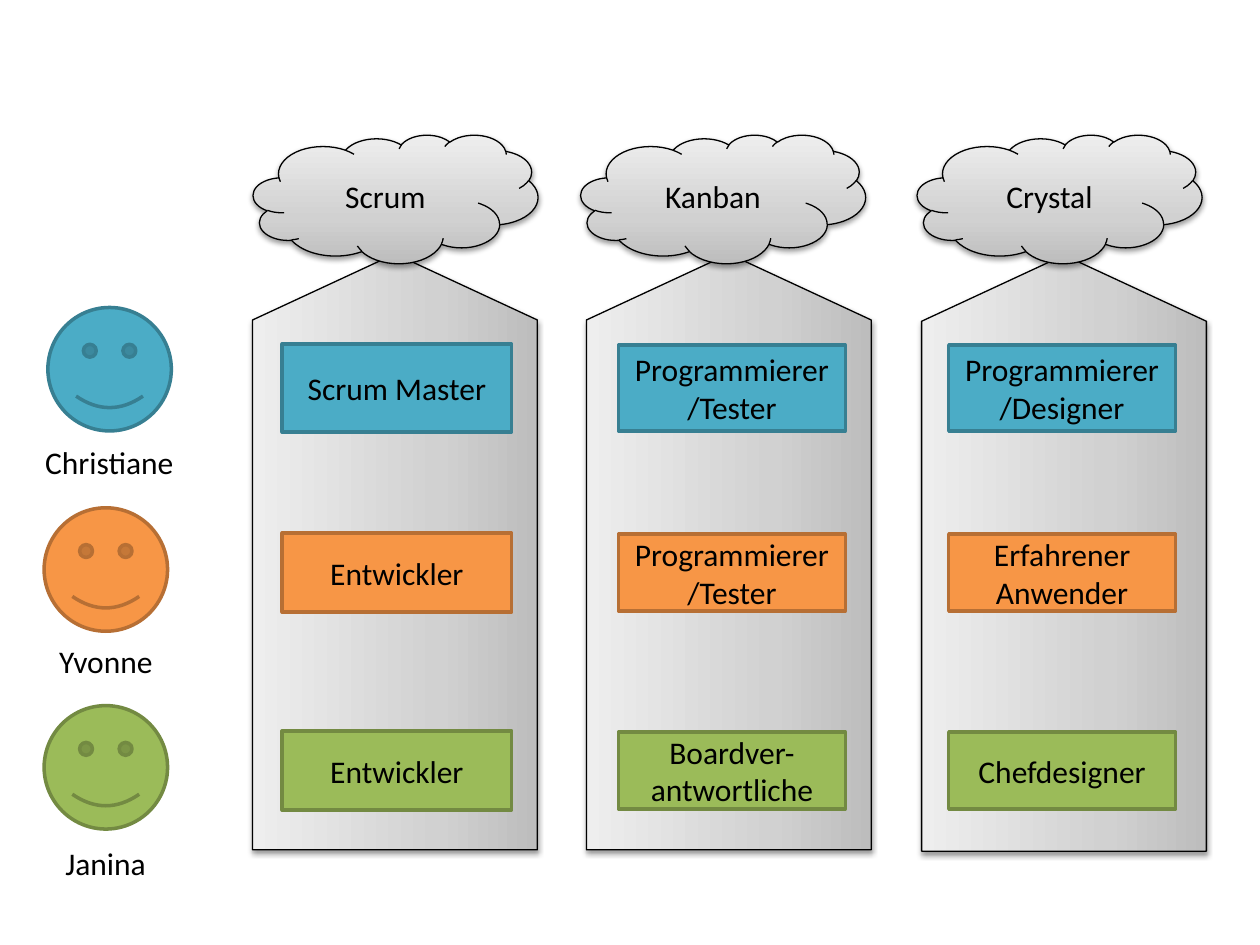
import dataclasses

import lxml.etree
import pptx
import pptx.dml.color
import pptx.enum.shapes
import pptx.enum.text
import pptx.oxml.ns
import pptx.util

Inches = pptx.util.Inches
SHAPES = pptx.enum.shapes.MSO_SHAPE
qn = pptx.oxml.ns.qn


@dataclasses.dataclass(frozen=True)
class Theme:
    font: str = "Calibri"
    text_size: float = 18
    text: str = "000000"
    outline: str = "000000"
    thin: float = 0.75
    thick: float = 2
    gradient: tuple = ((0, "BDBDBD"), (35, "D1D1D1"), (100, "EEEEEE"))
    blue: tuple = ("4BACC6", "377F92")
    orange: tuple = ("F79646", "B76F34")
    green: tuple = ("9BBB59", "738A42")


THEME = Theme()

# Person, (fill, line), face left and top, label left, top and width, role top and height
PEOPLE = [
    ("Christiane", THEME.blue, (0.38, 2.44), (0.26, 3.47, 1.23), (2.74, 0.68)),
    ("Yvonne", THEME.orange, (0.35, 4.03), (0.37, 5.05, 0.95), (4.24, 0.61)),
    ("Janina", THEME.green, (0.35, 5.6), (0.42, 6.65, 0.85), (5.81, 0.61)),
]

# Method, cloud left, pillar left and top, role left, extra role margin, roles
METHODS = [
    ("Scrum", 2.01, (0.77, 3.25), 2.25, 0.01,
     ["Scrum Master", "Entwickler", "Entwickler"]),
    ("Kanban", 4.61, (3.42, 3.25), 4.91, 0,
     ["Programmierer/Tester", "Programmierer/Tester", "Boardver-antwortliche"]),
    ("Crystal", 7.28, (6.08, 3.26), 7.53, 0,
     ["Programmierer/Designer", "Erfahrener Anwender", "Chefdesigner"]),
]


def rgb(value):
    return pptx.dml.color.RGBColor.from_string(value)


def write_text(frame, text, align=None):
    para = frame.paragraphs[0]
    para.alignment = align
    span = para.add_run()
    span.text = text
    span.font.name = THEME.font
    span.font.size = pptx.util.Pt(THEME.text_size)
    span.font.color.rgb = rgb(THEME.text)


def add_outlined(page, kind, place, line, width, text=None):
    shape = page.shapes.add_shape(kind, *map(Inches, place))
    shape.shadow.inherit = False
    shape.line.color.rgb = rgb(line)
    shape.line.width = pptx.util.Pt(width)
    if text:
        frame = shape.text_frame
        frame.word_wrap = True
        frame.vertical_anchor = pptx.enum.text.MSO_ANCHOR.MIDDLE
        write_text(frame, text, pptx.enum.text.PP_ALIGN.CENTER)
    return shape


def add_color(parent, value):
    return lxml.etree.SubElement(parent, qn("a:srgbClr"), val=value)


def add_flat(page, kind, place, colors, text=None):
    fill, line = colors
    shape = add_outlined(page, kind, place, line, THEME.thick, text)
    shape.fill.solid()
    shape.fill.fore_color.rgb = rgb(fill)


def add_metallic(page, kind, place, text=None):
    shape = add_outlined(page, kind, place, THEME.outline, THEME.thin, text)
    # Three-stop gradient, dark at the bottom
    shape.fill.gradient()
    shape.fill.gradient_angle = 90
    properties = shape.element.spPr
    stops = properties.find(".//" + qn("a:gsLst"))
    for stop in list(stops):
        stops.remove(stop)
    for position, color in THEME.gradient:
        add_color(lxml.etree.SubElement(stops, qn("a:gs"), pos=str(position * 1000)), color)
    # Soft shadow below
    shadow = lxml.etree.SubElement(
        properties.find(qn("a:effectLst")), qn("a:outerShdw"),
        blurRad="40000", dist="20000", dir="5400000", rotWithShape="0")
    lxml.etree.SubElement(add_color(shadow, THEME.outline), qn("a:alpha"), val="38000")
    return shape


def add_pillar(page, left, top):
    pillar = add_metallic(page, SHAPES.PENTAGON, (left, top, 4.73, 2.26))
    pillar.adjustments[0] = 0.232
    pillar.rotation = 270


def add_label(page, left, top, width, text):
    box = page.shapes.add_textbox(*map(Inches, (left, top, width, 0.4)))
    box.text_frame.word_wrap = False
    box.text_frame.auto_size = pptx.enum.text.MSO_AUTO_SIZE.SHAPE_TO_FIT_TEXT
    write_text(box.text_frame, text)


def add_person(page, name, colors, face, label):
    add_flat(page, SHAPES.SMILEY_FACE, (*face, 0.98, 0.98), colors)
    add_label(page, *label, name)


def add_method(page, name, cloud_left, pillar, role_left, margin, roles):
    add_pillar(page, *pillar)
    add_metallic(page, SHAPES.CLOUD, (cloud_left, 1.07, 2.26, 1.02), name)
    for role, (_, colors, _, _, (top, height)) in zip(roles, PEOPLE):
        place = (role_left - margin, top - margin, 1.8 + 2 * margin, height + 2 * margin)
        add_flat(page, SHAPES.RECTANGLE, place, colors, role)


def main():
    deck = pptx.Presentation()
    deck.slide_width, deck.slide_height = Inches(10), Inches(7.5)
    page = deck.slides.add_slide(deck.slide_layouts[6])
    # People on the left
    for name, colors, face, label, _ in PEOPLE:
        add_person(page, name, colors, face, label)
    # One pillar of roles per method
    for method in METHODS:
        add_method(page, *method)
    deck.save("out.pptx")


main()
